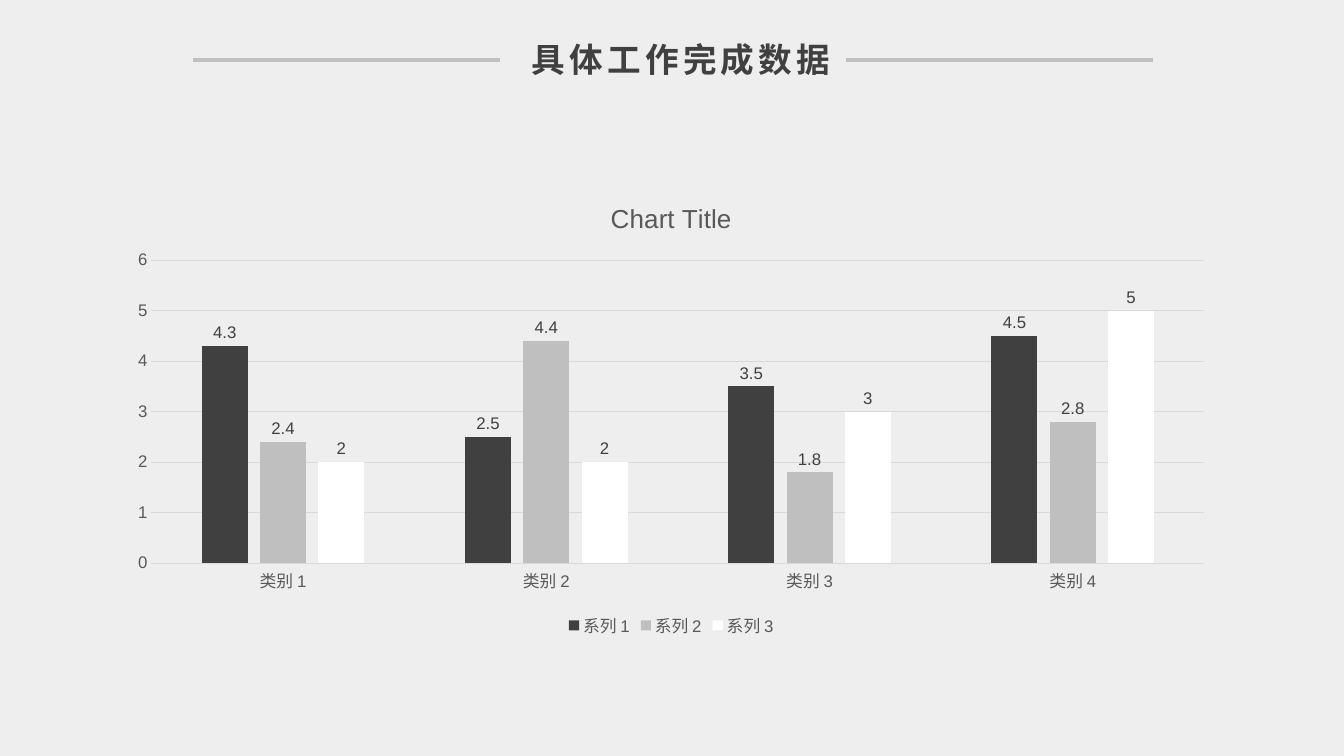
"""Build a slide with a ruled heading and a clustered column chart of completed work."""
import pptx
import pptx.chart.data
import pptx.dml.color
import pptx.enum.chart
import pptx.enum.shapes
import pptx.enum.text
import pptx.oxml
import pptx.oxml.ns
import pptx.util

Pt = pptx.util.Pt
DARK, SILVER, WHITE = "404040", "BFBFBF", "FFFFFF"
GREY, GRID = "595959", "D9D9D9"


def color(value):
    """Return the colour for a hex string."""
    return pptx.dml.color.RGBColor.from_string(value)


def style_font(font, size, value, name="Arial"):
    """Set the size, colour and typeface of a font."""
    font.size = Pt(size)
    font.name = name
    font.bold = False
    font.color.rgb = color(value)


presentation = pptx.Presentation()
presentation.slide_width = Pt(960)
presentation.slide_height = Pt(540)
slide = presentation.slides.add_slide(presentation.slide_layouts[6])
slide.background.fill.solid()
slide.background.fill.fore_color.rgb = color("EEEEEE")

chart_data = pptx.chart.data.CategoryChartData()
chart_data.categories = ["类别 1", "类别 2", "类别 3", "类别 4"]
chart_data.add_series("系列 1", [4.3, 2.5, 3.5, 4.5])
chart_data.add_series("系列 2", [2.4, 4.4, 1.8, 2.8])
chart_data.add_series("系列 3", [2, 2, 3, 5])
chart = slide.shapes.add_chart(
    pptx.enum.chart.XL_CHART_TYPE.COLUMN_CLUSTERED,
    Pt(82.8), Pt(130.3), Pt(793.4), Pt(328.3), chart_data,
).chart
style_font(chart.font, 10, "000000")

chart.has_title = True
chart.chart_title.include_in_layout = False
chart.chart_title.text_frame.text = "Chart Title"
style_font(chart.chart_title.text_frame.paragraphs[0].font, 18.6, GREY)

chart.has_legend = True
chart.legend.position = pptx.enum.chart.XL_LEGEND_POSITION.BOTTOM
chart.legend.include_in_layout = False
style_font(chart.legend.font, 12, GREY)

for axis in (chart.category_axis, chart.value_axis):
    axis.major_tick_mark = pptx.enum.chart.XL_TICK_MARK.NONE
    axis.minor_tick_mark = pptx.enum.chart.XL_TICK_MARK.NONE
    style_font(axis.tick_labels.font, 12, GREY)

chart.value_axis.minimum_scale = 0
chart.value_axis.maximum_scale = 6
chart.value_axis.major_unit = 1
chart.value_axis.format.line.fill.background()
for line in (chart.category_axis.format.line, chart.value_axis.major_gridlines.format.line):
    line.color.rgb = color(GRID)
    line.width = Pt(0.75)

plot = chart.plots[0]
plot.gap_width = 219
plot.overlap = -27
plot.vary_by_categories = False
for series, fill in zip(plot.series, (DARK, SILVER, WHITE)):
    series.format.fill.solid()
    series.format.fill.fore_color.rgb = color(fill)
    series.invert_if_negative = False
    labels = series.data_labels
    labels.show_value = True
    labels.position = pptx.enum.chart.XL_LABEL_POSITION.OUTSIDE_END
    style_font(labels.font, 12, DARK)

for left in (138, 604.5):
    rule = slide.shapes.add_connector(
        pptx.enum.shapes.MSO_CONNECTOR.STRAIGHT, Pt(left), Pt(43), Pt(left + 219), Pt(43)
    )
    rule.line.color.rgb = color(SILVER)
    rule.line.width = Pt(3)
    pptx.oxml.ns.qn("a:effectLst")
    rule.element.spPr.append(pptx.oxml.parse_xml(
        '<a:effectLst xmlns:a="http://schemas.openxmlformats.org/drawingml/2006/main"/>'
    ))

heading = slide.shapes.add_textbox(Pt(361.5), Pt(24.5), Pt(250), Pt(36))
heading.text_frame.word_wrap = True
heading.text_frame.auto_size = pptx.enum.text.MSO_AUTO_SIZE.SHAPE_TO_FIT_TEXT
paragraph = heading.text_frame.paragraphs[0]
paragraph.alignment = pptx.enum.text.PP_ALIGN.CENTER
run = paragraph.add_run()
run.text = "具体工作完成数据"
style_font(run.font, 24, DARK, "Noto Sans CJK SC")
run.font.bold = True
properties = run.font._element if hasattr(run.font, "_element") else run._r.get_or_add_rPr()
properties.set("spc", "300")
east_asian = pptx.oxml.parse_xml(
    '<a:ea xmlns:a="http://schemas.openxmlformats.org/drawingml/2006/main" typeface="Noto Sans CJK SC"/>'
)
properties.find(pptx.oxml.ns.qn("a:latin")).addnext(east_asian)

presentation.save("out.pptx")
